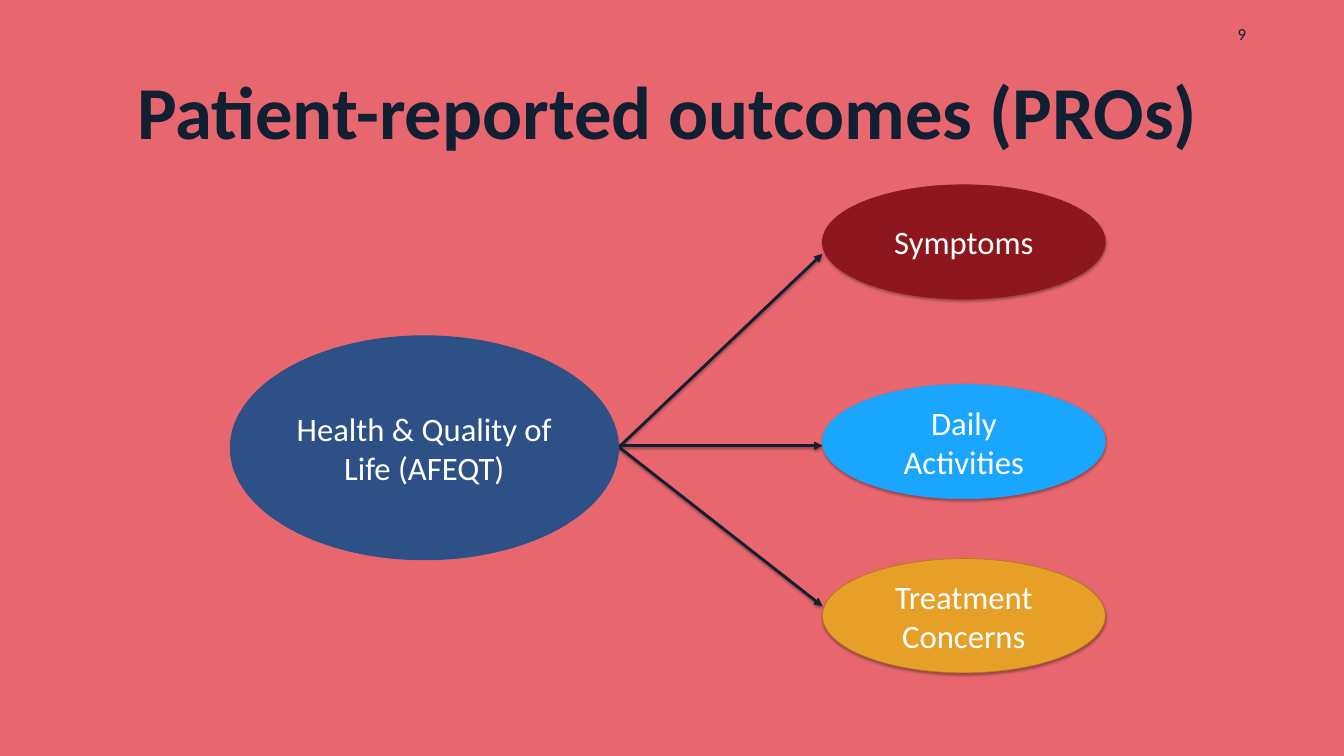
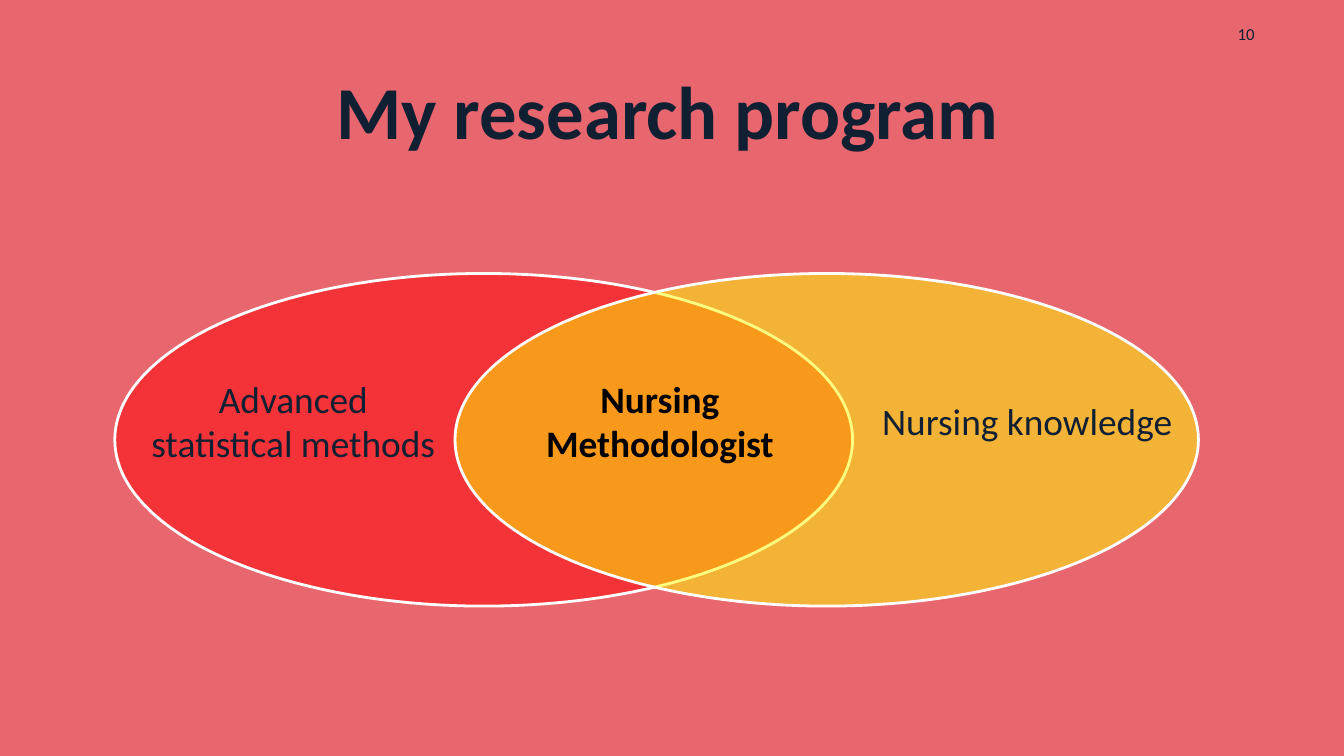
from lxml import etree
from pptx import Presentation
from pptx.dml.color import RGBColor
from pptx.enum import shapes, text
from pptx.oxml import ns
from pptx.util import Pt

COLORS = {
    "background": "E8676F", "ink": "111F33", "white": "FFFFFF", "black": "000000",
    "hub": "2D5186", "symptoms": "8E161D", "activities": "1AA5FF",
    "concerns": "E6A027", "concerns_edge": "B57A15",
    "methods": "FF0000", "knowledge": "FFFF00",
}
FONT = "Calibri"


def color(name):
    return RGBColor.from_string(COLORS[name])


def add_child(parent, tag, **attributes):
    return etree.SubElement(parent, ns.qn(tag), attributes)


def add_shadow(effects, opacity, distance):
    """Fill an effect list with a soft black shadow falling straight down."""
    shadow = add_child(effects, "a:outerShdw", blurRad=str(Pt(3.1)),
                       dist=str(Pt(distance)), dir="5400000", rotWithShape="0")
    black = add_child(shadow, "a:srgbClr", val=COLORS["black"])
    add_child(black, "a:alpha", val=str(opacity * 1000))


def write(shape, words, size, ink="ink", bold=False, align=text.PP_ALIGN.CENTER):
    frame = shape.text_frame
    frame.word_wrap = True
    frame.text = words
    for para in frame.paragraphs:
        para.alignment = align
        para.font.name = FONT
        para.font.size = Pt(size)
        para.font.bold = bold
        para.font.color.rgb = color(ink)
    return frame


def add_text(page, left, top, width, height, words, size, **style):
    box = page.shapes.add_textbox(Pt(left), Pt(top), Pt(width), Pt(height))
    return write(box, words, size, **style)


def add_ellipse(group, left, top, width, height, fill, edge=None, weight=0.75, opacity=100):
    ellipse = group.shapes.add_shape(shapes.MSO_SHAPE.OVAL, Pt(left), Pt(top), Pt(width), Pt(height))
    ellipse.shadow.inherit = False
    ellipse.fill.solid()
    ellipse.fill.fore_color.rgb = color(fill)
    if opacity < 100:
        solid = ellipse._element.spPr.find(ns.qn("a:solidFill"))
        add_child(solid[0], "a:alpha", val=str(opacity * 1000))
    if edge:
        ellipse.line.color.rgb = color(edge)
        ellipse.line.width = Pt(weight)
    else:
        ellipse.line.fill.background()
    return ellipse


def add_arrow(group, x1, y1, x2, y2):
    arrow = group.shapes.add_connector(shapes.MSO_CONNECTOR.STRAIGHT, Pt(x1), Pt(y1), Pt(x2), Pt(y2))
    arrow.line.color.rgb = color("ink")
    arrow.line.width = Pt(3)
    properties = arrow._element.spPr
    add_child(properties.find(ns.qn("a:ln")), "a:tailEnd", type="triangle")
    add_shadow(add_child(properties, "a:effectLst"), 38, 1.6)


def add_page(deck, title, number):
    page = deck.slides.add_slide(deck.slide_layouts[6])
    page.background.fill.solid()
    page.background.fill.fore_color.rgb = color("background")
    frame = add_text(page, 81.4, 82.8, 1268, 86.4, title, 80, bold=True)
    frame.margin_top = frame.margin_bottom = 0
    frame.vertical_anchor = text.MSO_ANCHOR.MIDDLE
    frame.paragraphs[0].line_spacing = 0.8
    add_text(page, 1319, 21.6, 43.2, 22.3, str(number), 18, align=text.PP_ALIGN.LEFT)
    return page


def draw_outcomes(page, left, top):
    """Hub on the left with an arrow to each outcome on the right."""
    group = page.shapes.add_group_shape()
    hub_right, branch_left = left + 417, left + 635
    branches = [
        # words, fill, edge, top, arrow start, arrow end
        ("Symptoms", "symptoms", "symptoms", 0, 281, 74),
        ("Daily Activities", "activities", "activities", 214, 279.5, 279.5),
        ("Treatment Concerns", "concerns", "concerns_edge", 400.5, 281, 451.5),
    ]
    for *_, start, end in branches:
        add_arrow(group, hub_right, top + start, branch_left, top + end)
    for words, fill, edge, offset, *_ in branches:
        branch = add_ellipse(group, branch_left, top + offset, 303, 122.4, fill, edge)
        add_shadow(branch._element.spPr.find(ns.qn("a:effectLst")), 35, 1.8)
        write(branch, words, 35, "white")
    hub = add_ellipse(group, left, top + 161.3, 417, 241, "hub")
    write(hub, "Health & Quality of Life (AFEQT)", 35, "white")


def draw_venn(page, left, top):
    """Two overlapping translucent ellipses with three labels."""
    group = page.shapes.add_group_shape()
    for offset, width, fill in [(0, 790.5, "methods"), (364.5, 796.5, "knowledge")]:
        add_ellipse(group, left + offset, top, width, 356.4, fill, "white", 3, opacity=50)
    labels = [
        # left, top, width, height, words, ink, bold
        (445, 106, 278, 104.4, "Nursing Methodologist", "black", True),
        (18.7, 106, 345, 104.4, "Advanced\nstatistical methods", "ink", False),
        (805, 130.4, 345, 55.4, "Nursing knowledge", "ink", False),
    ]
    for x, y, width, height, words, ink, bold in labels:
        frame = add_text(page, left + x, top + y, width, height, words, 40, ink=ink, bold=bold)
        frame.auto_size = text.MSO_AUTO_SIZE.SHAPE_TO_FIT_TEXT


def main():
    deck = Presentation()
    deck.slide_width, deck.slide_height = Pt(1440), Pt(810)
    draw_outcomes(add_page(deck, "Patient-reported outcomes (PROs)", 9), 246.2, 198)
    draw_venn(add_page(deck, "My research program", 10), 123, 293)
    deck.save("out.pptx")


if __name__ == "__main__":
    main()
